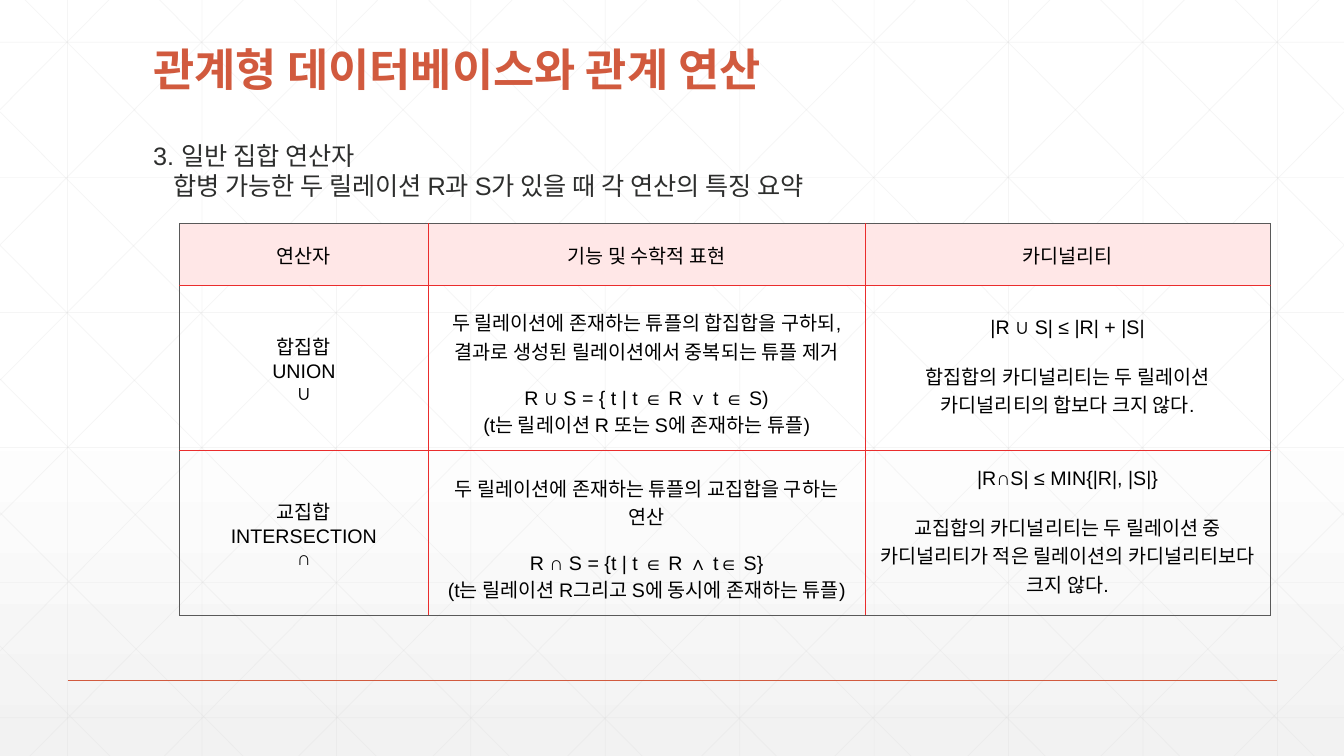
from lxml.etree import SubElement as Sub
from pptx import Presentation
from pptx.dml.color import RGBColor
from pptx.enum.shapes import MSO_CONNECTOR as Conn
from pptx.enum.text import MSO_ANCHOR as Anchor, PP_ALIGN as Align
from pptx.oxml import parse_xml
from pptx.oxml.ns import nsdecls, qn
from pptx.util import Inches, Pt

RUST = RGBColor(0xD1, 0x5A, 0x3E)
INK = RGBColor(0x2D, 0x2E, 0x2D)
BLACK = RGBColor(0, 0, 0)
WHITE = RGBColor(0xFF, 0xFF, 0xFF)
MIST = RGBColor(0xF2, 0xF2, 0xF2)
GRID = RGBColor(0xD9, 0xD9, 0xD9)
PINK = RGBColor(0xFF, 0xE7, 0xE7)
RED = RGBColor(0xEA, 0x2D, 0x2D)
GRAY = RGBColor(0x59, 0x59, 0x59)
WIDE, HIGH = 13.33, 7.5

deck = Presentation()
deck.slide_width, deck.slide_height = Inches(WIDE), Inches(HIGH)
slide = deck.slides.add_slide(deck.slide_layouts[5])
shapes = slide.shapes

fill = slide.background.fill
fill.gradient()
fill.gradient_angle = 270
for stop, (place, color) in zip(fill.gradient_stops, [(0.53, WHITE), (1, MIST)]):
    stop.position = place
    stop.color.rgb = color


def draw(x1, y1, x2, y2, color=GRID, width=0.5, alpha=25):
    line = shapes.add_connector(Conn.STRAIGHT, *map(Inches, (x1, y1, x2, y2)))
    line.line.color.rgb = color
    line.line.width = Pt(width)
    props = line._element.spPr
    if alpha < 100:
        tint = props.find(".//" + qn("a:srgbClr"))
        Sub(tint, qn("a:alpha"), val=str(alpha * 1000))
    Sub(props, qn("a:effectLst"))


def style(frame, size, color, bold=False):
    look = {"name": "Arial", "size": Pt(size), "bold": bold}
    for para in frame.paragraphs:
        for run in para.runs:
            for key, value in look.items():
                setattr(run.font, key, value)
            run.font.color.rgb = color


STEP = 4 / 3
for i in range(10):
    x = 0.67 + STEP * i
    draw(x, 0, x, HIGH)
for i in range(6):
    y = 0.42 + 1.34 * i
    draw(0, y, WIDE, y)

slants = []
for i in range(10):
    x = 0.25 + STEP * i
    run = min(7.45, WIDE - x)
    slants.append((x, 0, x + run, run * HIGH / 7.45))
for i in range(5):
    slants.append((0, 1.11 + 1.325 * i, 6.37 - 1.32 * i, HIGH))
for x1, y1, x2, y2 in slants:
    draw(x1, y1, x2, y2)
    draw(WIDE - x1, y1, WIDE - x2, y2)
draw(0.67, 6.75, 12.67, 6.75, RUST, 1, 100)

title = shapes.title
shapes._spTree.append(title._element)
title.left, title.top, title.width, title.height = map(Inches, (1.42, 0.39, 10.5, 0.61))
frame = title.text_frame
frame.text = "관계형 데이터베이스와 관계 연산"
frame.vertical_anchor = Anchor.BOTTOM
frame.paragraphs[0].alignment = Align.LEFT
frame.paragraphs[0].line_spacing = 0.9
style(frame, 32, RUST, True)

intro = shapes.add_textbox(*map(Inches, (1.42, 1.34, 11.57, 1.01))).text_frame
intro.word_wrap = True
intro.text = "3. 일반 집합 연산자\n합병 가능한 두 릴레이션 R과 S가 있을 때 각 연산의 특징 요약"
intro.paragraphs[1]._p.get_or_add_pPr().set("marL", str(Inches(0.2)))
style(intro, 18, INK)

rows = [
    ["연산자", "기능 및 수학적 표현", "카디널리티"],
    [
        "합집합\nUNION\n∪",
        "두 릴레이션에 존재하는 튜플의 합집합을 구하되,\v"
        "결과로 생성된 릴레이션에서 중복되는 튜플 제거\n"
        "R ∪ S = { t | t ∈ R ∨ t ∈ S)\n"
        "(t는 릴레이션 R 또는 S에 존재하는 튜플)",
        "|R ∪ S| ≤ |R| + |S|\n"
        "합집합의 카디널리티는 두 릴레이션\v카디널리티의 합보다 크지 않다.",
    ],
    [
        "교집합\nINTERSECTION\n∩",
        "두 릴레이션에 존재하는 튜플의 교집합을 구하는\v연산\n"
        "R ∩ S = {t | t ∈ R ∧ t∈ S}\n"
        "(t는 릴레이션 R그리고 S에 동시에 존재하는 튜플)",
        "|R∩S| ≤ MIN{|R|, |S|}\n"
        "교집합의 카디널리티는 두 릴레이션 중\v"
        "카디널리티가 적은 릴레이션의 카디널리티보다\v크지 않다.",
    ],
]
table = shapes.add_table(3, 3, *map(Inches, (1.78, 2.22, 10.82, 3.89))).table
table.first_row = table.horz_banding = False
for col, width in zip(table.columns, (2.47, 4.33, 4.02)):
    col.width = Inches(width)
for row, height in zip(table.rows, (0.61, 1.64, 1.64)):
    row.height = Inches(height)

for r, texts in enumerate(rows):
    for c, text in enumerate(texts):
        cell = table.cell(r, c)
        frame = cell.text_frame
        frame.text = text
        cell.vertical_anchor = Anchor.MIDDLE
        for side in ("left", "right", "top", "bottom"):
            setattr(cell, "margin_" + side, 0)
        if r and c == 1:
            cell.margin_top = Inches(0.1)
        for n, para in enumerate(frame.paragraphs):
            para.alignment = Align.CENTER
            para.space_before = Pt(16 if c and n == 1 else 0)
        style(frame, 14, BLACK)
        if r:
            cell.fill.background()
        else:
            cell.fill.solid()
            cell.fill.fore_color.rgb = PINK
        edges = {"L": c == 0, "R": c == 2, "T": r == 0, "B": r == 2}
        for n, (edge, outer) in enumerate(edges.items()):
            border = parse_xml(
                f'<a:ln{edge} {nsdecls("a")} w="{Pt(0.75)}"><a:solidFill>'
                f'<a:srgbClr val="{GRAY if outer else RED}"/></a:solidFill></a:ln{edge}>'
            )
            cell._tc.get_or_add_tcPr().insert(n, border)

deck.save("out.pptx")
